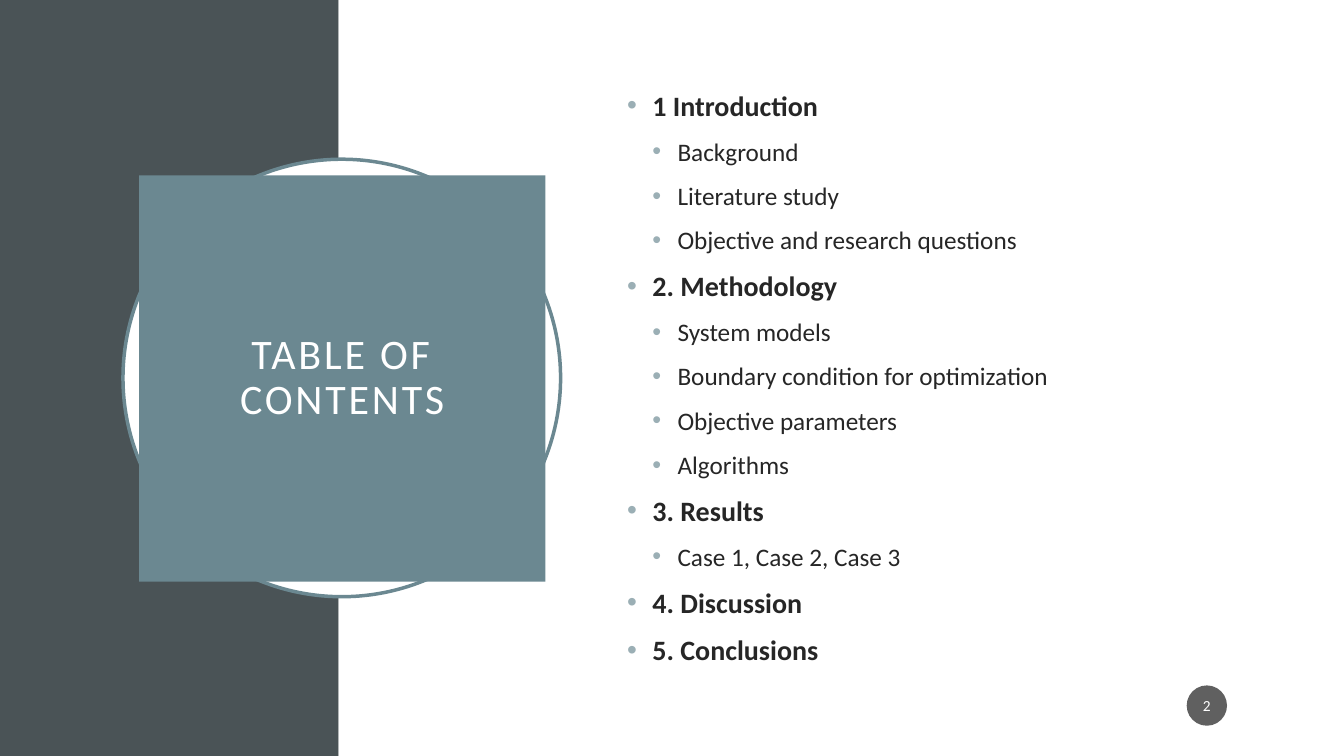
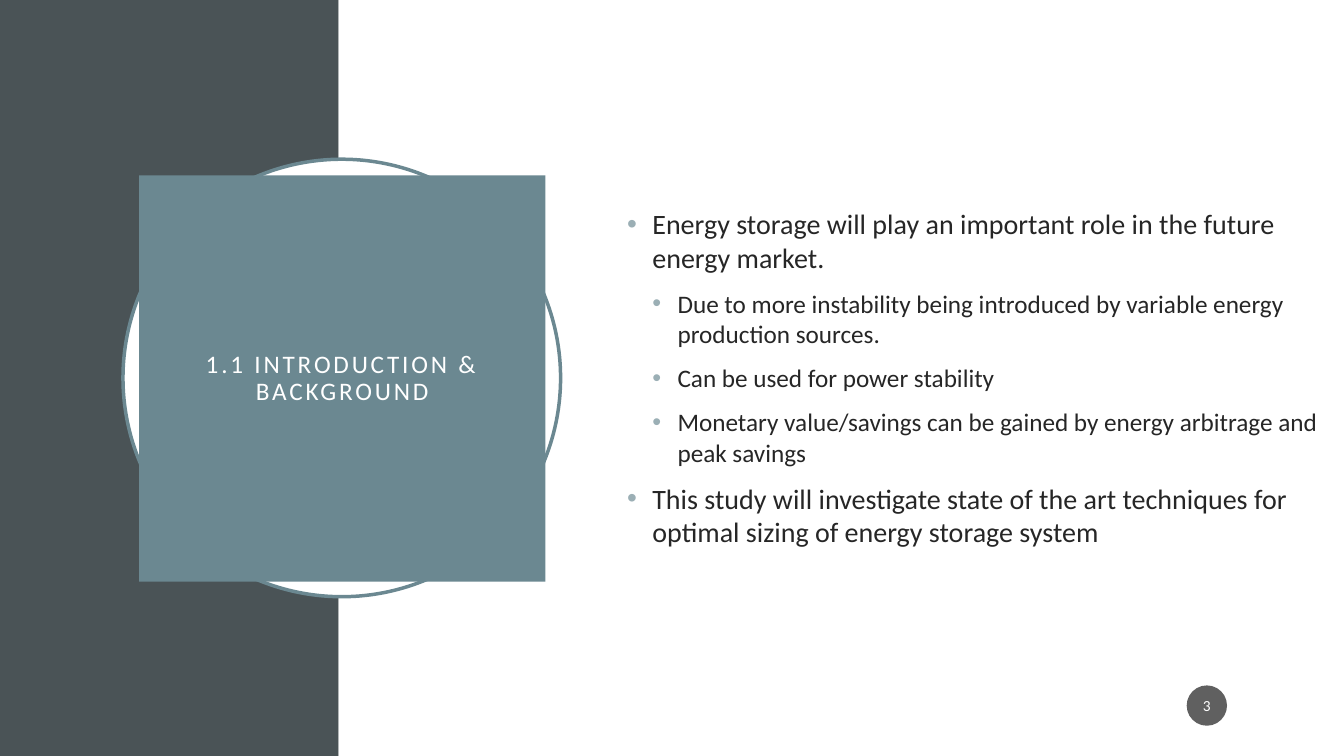
"""Build the contents slide and the introduction slide of an energy storage talk."""
from lxml import etree
from pptx import Presentation
from pptx import util as u
from pptx.dml.color import RGBColor
from pptx.enum import shapes, text
from pptx.oxml.ns import qn

SLIDES = [
    dict(number=2, title="TABLE OF CONTENTS", title_size=30, body_width=706, bold_heads=True, items=[
        (0, "1 Introduction"),
        (1, "Background"),
        (1, "Literature study"),
        (1, "Objective and research questions"),
        (0, "2. Methodology"),
        (1, "System models"),
        (1, "Boundary condition for optimization"),
        (1, "Objective parameters"),
        (1, "Algorithms"),
        (0, "3. Results"),
        (1, "Case 1, Case 2, Case 3"),
        (0, "4. Discussion"),
        (0, "5. Conclusions"),
    ]),
    dict(number=3, title="1.1 INTRODUCTION & BACKGROUND", title_size=18, body_width=722, bold_heads=False, items=[
        (0, "Energy storage will play an important role in the future energy market."),
        (1, "Due to more instability being introduced by variable energy production sources."),
        (1, "Can be used for power stability"),
        (1, "Monetary value/savings can be gained by energy arbitrage and peak savings"),
        (0, "This study will investigate state of the art techniques for optimal sizing of energy storage system"),
    ]),
]

SLATE = RGBColor(0x4A, 0x53, 0x56)
TEAL = RGBColor(0x6B, 0x88, 0x91)
MIST = RGBColor(0x9B, 0xAF, 0xB5)
INK = RGBColor(0x26, 0x26, 0x26)
BADGE = RGBColor(0x1D, 0x1D, 0x1D)
WHITE = RGBColor(0xFF, 0xFF, 0xFF)

FONT = "Calibri"
PX = 9144
WIDTH, HEIGHT = 1333, 750
BAND = 336
RING = (122, 158, 434, 434)
TITLE = (138, 174, 403, 403)
BODY_LEFT, BODY_TOP, BODY_HEIGHT = 612, 153, 443
NUMBER = (1177, 680, 40, 40)
INDENT = 25
LEVEL_SIZES = (20, 18)


def set_all(target, **values):
    for name, value in values.items():
        setattr(target, name, value)


def place(shape, box):
    set_all(shape, **dict(zip(("left", "top", "width", "height"), (v * PX for v in box))))


def add_filled(s, kind, box, color):
    shape = s.shapes.add_shape(kind, *(v * PX for v in box))
    shape.shadow.inherit = False
    shape.fill.solid()
    shape.fill.fore_color.rgb = color
    shape.line.fill.background()
    return shape


def set_frame(tf, **margins):
    set_all(tf, word_wrap=True, auto_size=text.MSO_AUTO_SIZE.NONE,
            vertical_anchor=text.MSO_ANCHOR.MIDDLE, **margins)


def add_run(p, words, size, color, bold=False):
    r = p.add_run()
    r.text = words
    set_all(r.font, name=FONT, size=u.Pt(size), bold=bold)
    r.font.color.rgb = color
    return r


def add_bullet(p, level):
    p.level = level
    pPr = p._p.get_or_add_pPr()
    pPr.set("marL", str((level + 1) * INDENT * PX))
    pPr.set("indent", str(-INDENT * PX))
    color = etree.SubElement(pPr, qn("a:buClr"))
    etree.SubElement(color, qn("a:srgbClr"), val=str(MIST))
    etree.SubElement(pPr, qn("a:buFont"), typeface="Arial")
    etree.SubElement(pPr, qn("a:buChar"), char="•")


def add_backdrop(s):
    kinds = shapes.MSO_SHAPE
    add_filled(s, kinds.RECTANGLE, (0, 0, BAND, HEIGHT), SLATE)
    add_filled(s, kinds.RECTANGLE, (BAND, 0, WIDTH - BAND, HEIGHT), WHITE)
    ring = add_filled(s, kinds.OVAL, RING, WHITE)
    ring.line.color.rgb = TEAL
    ring.line.width = u.Pt(2.5)


def fill_title(title, words, size):
    place(title, TITLE)
    title.fill.solid()
    title.fill.fore_color.rgb = TEAL
    inset = 20 * PX
    set_frame(title.text_frame, margin_left=inset, margin_right=inset,
              margin_top=inset, margin_bottom=inset)
    p = title.text_frame.paragraphs[0]
    set_all(p, alignment=text.PP_ALIGN.CENTER, line_spacing=0.9)
    r = add_run(p, words, size, WHITE)
    r.font._element.set("spc", "200")


def fill_body(body, width, items, bold_heads):
    place(body, (BODY_LEFT, BODY_TOP, width, BODY_HEIGHT))
    tf = body.text_frame
    set_frame(tf)
    for i, (level, words) in enumerate(items):
        p = tf.add_paragraph() if i else tf.paragraphs[0]
        add_bullet(p, level)
        p.space_before = u.Pt(10 if i else 0)
        add_run(p, words, LEVEL_SIZES[level], INK, bold_heads and level == 0)


def add_number(s, number):
    badge = add_filled(s, shapes.MSO_SHAPE.OVAL, NUMBER, BADGE)
    color = badge.fill._xPr.find(".//" + qn("a:srgbClr"))
    etree.SubElement(color, qn("a:alpha"), val="70000")
    set_frame(badge.text_frame, margin_left=2 * PX, margin_right=2 * PX)
    p = badge.text_frame.paragraphs[0]
    p.alignment = text.PP_ALIGN.CENTER
    add_run(p, str(number), 11, WHITE)


def build_slide(prs, content):
    s = prs.slides.add_slide(prs.slide_layouts[1])
    title, body = s.placeholders
    add_backdrop(s)
    for holder in (title, body):
        holder.element.getparent().append(holder.element)
    fill_title(title, content["title"], content["title_size"])
    fill_body(body, content["body_width"], content["items"], content["bold_heads"])
    add_number(s, content["number"])


def main():
    prs = Presentation()
    set_all(prs, slide_width=WIDTH * PX, slide_height=HEIGHT * PX)
    for content in SLIDES:
        build_slide(prs, content)
    prs.save("out.pptx")


if __name__ == "__main__":
    main()
